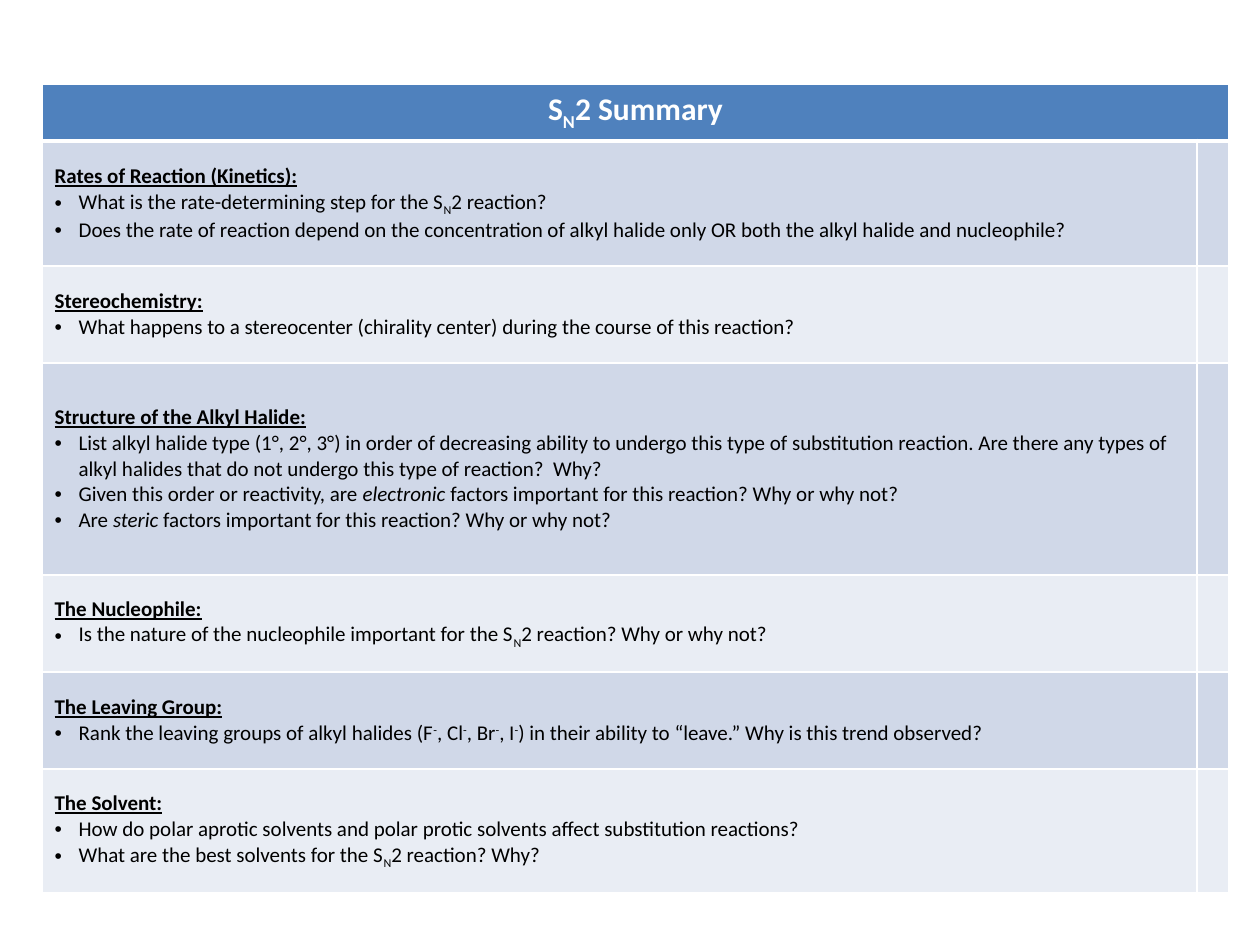
from lxml import etree
from pptx import Presentation
from pptx.dml.color import RGBColor
from pptx.enum.text import MSO_ANCHOR, PP_ALIGN
from pptx.oxml.ns import qn
from pptx.util import Pt

CENTER = PP_ALIGN.CENTER
MIDDLE = MSO_ANCHOR.MIDDLE
EMU_PER_PX = 914400 / 126

FONT = "Calibri"
WHITE, BLACK = "FFFFFF", "000000"
HEADER_FILL = "4F81BD"
BAND_FILLS = ("D0D8E8", "E9EDF4")
TABLE_BOX = (42, 84, 1187, 809)
SIDE_COLUMN = 32
ROW_HEIGHTS = (57, 125, 97, 212, 97, 97, 124)
BULLET_INDENT = 24

# Text is a list of pieces: a plain string, or (string, style)
SUB_N = ("N", "sub")
MINUS = ("-", "super")
TITLE = ["S", SUB_N, "2 Summary"]
SECTIONS = [
    ("Rates of Reaction (Kinetics):", [
        ["What is the rate-determining step for the S", SUB_N, "2 reaction?"],
        ["Does the rate of reaction depend on the concentration of alkyl halide "
         "only OR both the alkyl halide and nucleophile?"],
    ]),
    ("Stereochemistry:", [
        ["What happens to a stereocenter (chirality center) during the course "
         "of this reaction?"],
    ]),
    ("Structure of the Alkyl Halide:", [
        ["List alkyl halide type (1°, 2°, 3°) in order of decreasing ability to "
         "undergo this type of substitution reaction. Are there any types of "
         "alkyl halides that do not undergo this type of reaction?  Why?"],
        ["Given this order or reactivity, are ", ("electronic", "italic"),
         " factors important for this reaction? Why or why not?"],
        ["Are ", ("steric", "italic"),
         " factors important for this reaction? Why or why not?"],
    ]),
    ("The Nucleophile:", [
        ["Is the nature of the nucleophile important for the S", SUB_N,
         "2 reaction? Why or why not?"],
    ]),
    ("The Leaving Group:", [
        ["Rank the leaving groups of alkyl halides (F", MINUS, ", Cl", MINUS,
         ", Br", MINUS, ", I", MINUS,
         ") in their ability to “leave.” Why is this trend observed?"],
    ]),
    ("The Solvent:", [
        ["How do polar aprotic solvents and polar protic solvents affect "
         "substitution reactions?"],
        ["What are the best solvents for the S", SUB_N, "2 reaction? Why?"],
    ]),
]
BASELINES = {"sub": "-25000", "super": "30000"}


def px(length):
    return round(length * EMU_PER_PX)


def color(hex_string):
    return RGBColor.from_string(hex_string)


def write_pieces(paragraph, pieces, size, text_color, bold=False, underline=False):
    for piece in pieces:
        text, style = (piece, None) if isinstance(piece, str) else piece
        run = paragraph.add_run()
        run.text = text
        font = run.font
        font.name, font.size = FONT, Pt(size)
        font.color.rgb = color(text_color)
        font.bold, font.underline = bold, underline
        font.italic = style == "italic"
        if style in BASELINES:
            run._r.get_or_add_rPr().set("baseline", BASELINES[style])


def add_bullet(paragraph):
    properties = paragraph._p.get_or_add_pPr()
    properties.set("marL", str(px(BULLET_INDENT)))
    properties.set("indent", str(-px(BULLET_INDENT)))
    etree.SubElement(properties, qn("a:buFont")).set("typeface", "Arial")
    etree.SubElement(properties, qn("a:buChar")).set("char", "•")


def style_cell(cell, fill, top=1, bottom=1):
    # Borders come before the fill in the cell properties
    properties = cell._tc.get_or_add_tcPr()
    for side, width in (("L", 1), ("R", 1), ("T", top), ("B", bottom)):
        line = etree.SubElement(properties, qn(f"a:ln{side}"), w=str(Pt(width)))
        solid = etree.SubElement(line, qn("a:solidFill"))
        etree.SubElement(solid, qn("a:srgbClr")).set("val", WHITE)
    cell.fill.solid()
    cell.fill.fore_color.rgb = color(fill)


def fill_header(table):
    for cell in table.rows[0].cells:
        style_cell(cell, HEADER_FILL, bottom=3)
    header = table.cell(0, 0)
    header.merge(table.cell(0, 1))
    paragraph = header.text_frame.paragraphs[0]
    paragraph.alignment = CENTER
    write_pieces(paragraph, TITLE, 18, WHITE, bold=True)


def fill_section(table, row, heading, questions):
    for cell in table.rows[row].cells:
        style_cell(cell, BAND_FILLS[(row - 1) % 2], top=3 if row == 1 else 1)
    cell = table.cell(row, 0)
    cell.vertical_anchor = MIDDLE
    text_frame = cell.text_frame
    write_pieces(text_frame.paragraphs[0], [heading], 12, BLACK,
                 bold=True, underline=True)
    for question in questions:
        paragraph = text_frame.add_paragraph()
        add_bullet(paragraph)
        write_pieces(paragraph, question, 12, BLACK)


def add_summary_table(slide, box):
    left, top, width, height = box
    table = slide.shapes.add_table(len(ROW_HEIGHTS), 2, px(left), px(top),
                                   px(width), px(height)).table
    table.columns[0].width = px(width - SIDE_COLUMN)
    table.columns[1].width = px(SIDE_COLUMN)
    for row, row_height in zip(table.rows, ROW_HEIGHTS):
        row.height = px(row_height)
    fill_header(table)
    for row, (heading, questions) in enumerate(SECTIONS, start=1):
        fill_section(table, row, heading, questions)


def main():
    presentation = Presentation()
    presentation.slide_width, presentation.slide_height = px(1260), px(945)
    slide = presentation.slides.add_slide(presentation.slide_layouts[6])
    add_summary_table(slide, TABLE_BOX)
    presentation.save("out.pptx")


if __name__ == "__main__":
    main()
